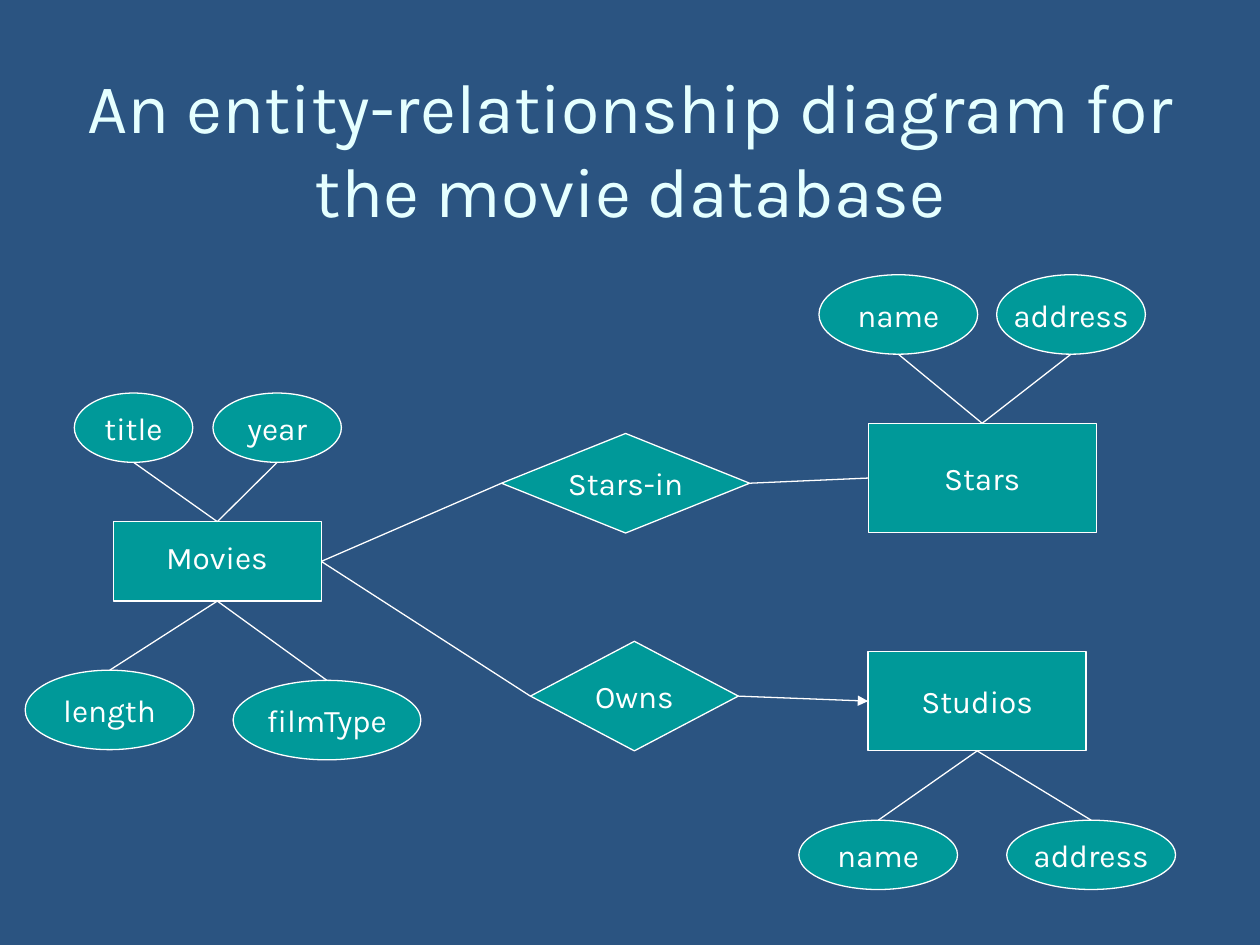
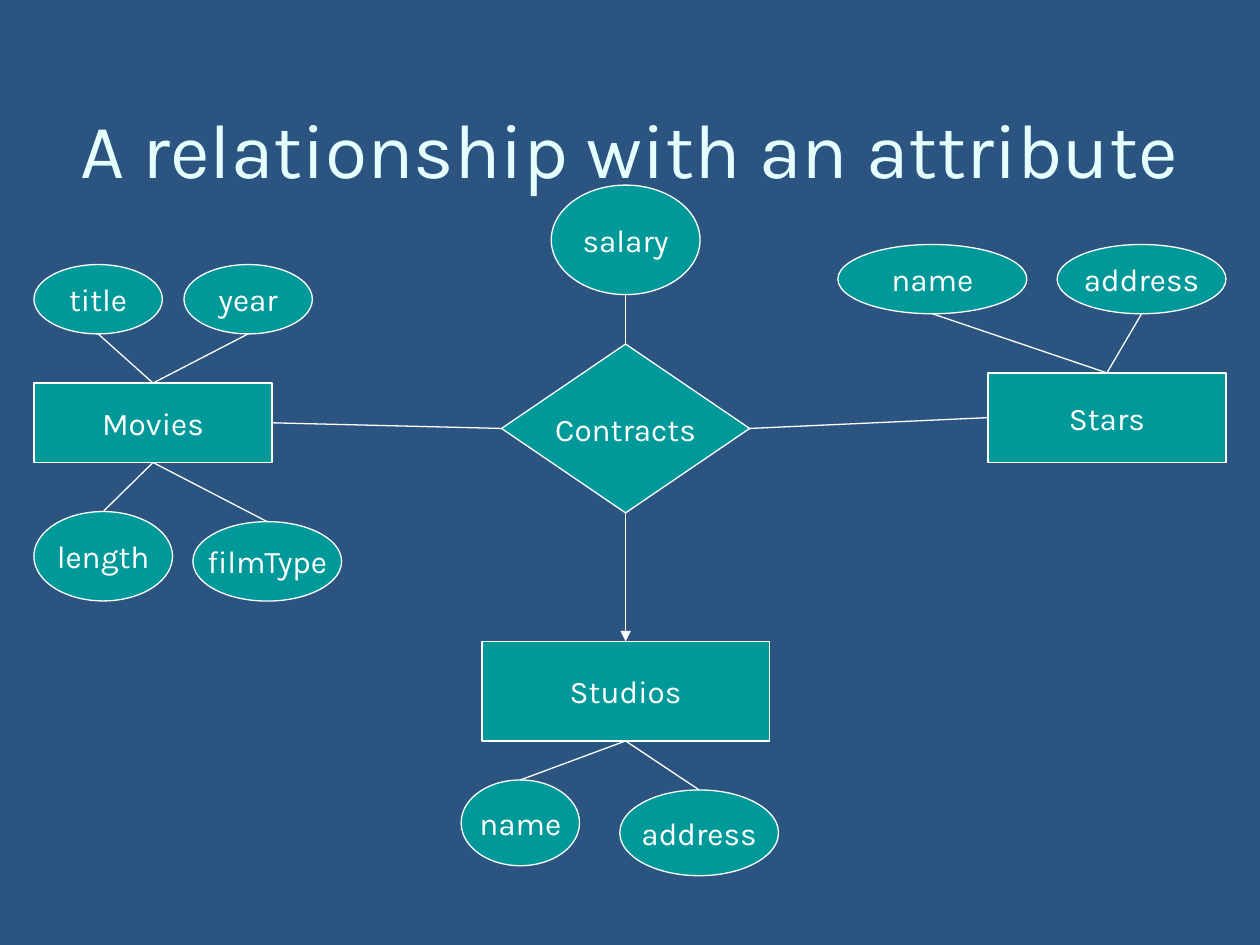
from dataclasses import dataclass

from lxml import etree
from pptx import Presentation
from pptx.dml.color import RGBColor
from pptx.enum import shapes, text
from pptx.oxml import ns
from pptx.util import Pt

FONT = "Karla"
BACKGROUND = "2B5481"
TITLE_COLOUR = "E5FFFF"
NODE_FILL = "009999"
WHITE = "FFFFFF"
LABEL_SIZE = 18
LINE_WIDTH = 0.75
TITLE_BOX = (36, 30.2, 648, 108)

ENTITY = shapes.MSO_SHAPE.RECTANGLE
ATTRIBUTE = shapes.MSO_SHAPE.OVAL
RELATIONSHIP = shapes.MSO_SHAPE.FLOWCHART_DECISION


@dataclass(frozen=True)
class Node:
    """A labelled outline; lengths in points."""
    kind: int
    label: str
    left: float
    top: float
    width: float
    height: float

    def side(self, name: str) -> tuple[float, float]:
        """Middle of one side."""
        across, down = {"top": (0.5, 0), "bottom": (0.5, 1),
                        "left": (0, 0.5), "right": (1, 0.5)}[name]
        return self.left + across * self.width, self.top + down * self.height


@dataclass(frozen=True)
class Cluster:
    """A node with the attributes attached above and below it."""
    owner: Node
    above: tuple[Node, ...] = ()
    below: tuple[Node, ...] = ()


@dataclass(frozen=True)
class Link:
    start: Node
    start_side: str
    end: Node
    end_side: str
    arrow: bool = False


def rgb(value: str) -> RGBColor:
    return RGBColor.from_string(value)


def write(frame, words: str, size: float, colour: str, align=text.PP_ALIGN.CENTER,
          anchor=text.MSO_ANCHOR.MIDDLE, wrap: bool = False) -> None:
    frame.word_wrap = wrap
    frame.vertical_anchor = anchor
    paragraph = frame.paragraphs[0]
    paragraph.text = words
    paragraph.alignment = align
    paragraph.font.name = FONT
    paragraph.font.size = Pt(size)
    paragraph.font.color.rgb = rgb(colour)


def add_text_box(slide, box: tuple[float, ...]):
    return slide.shapes.add_textbox(*map(Pt, box)).text_frame


def draw_node(slide, node: Node) -> None:
    outline = slide.shapes.add_shape(
        node.kind, *map(Pt, (node.left, node.top, node.width, node.height)))
    outline.shadow.inherit = False
    outline.fill.solid()
    outline.fill.fore_color.rgb = rgb(NODE_FILL)
    outline.line.color.rgb = rgb(WHITE)
    outline.line.width = Pt(LINE_WIDTH)
    if node.label:
        write(outline.text_frame, node.label, LABEL_SIZE, WHITE)


def draw_link(slide, link: Link) -> None:
    ends = link.start.side(link.start_side) + link.end.side(link.end_side)
    connector = slide.shapes.add_connector(shapes.MSO_CONNECTOR.STRAIGHT, *map(Pt, ends))
    connector.line.color.rgb = rgb(WHITE)
    connector.line.width = Pt(LINE_WIDTH)
    if link.arrow:
        etree.SubElement(connector.line._get_or_add_ln(), ns.qn("a:tailEnd"), type="triangle")
    etree.SubElement(connector._element.spPr, ns.qn("a:effectLst"))


def draw_diagram(deck, title: str, title_size: float,
                 clusters: list[Cluster], links: list[Link]):
    slide = deck.slides.add_slide(deck.slide_layouts[6])
    slide.background.fill.solid()
    slide.background.fill.fore_color.rgb = rgb(BACKGROUND)
    write(add_text_box(slide, TITLE_BOX), title, title_size, TITLE_COLOUR, wrap=True)

    attribute_links = []
    for cluster in clusters:
        for node in (cluster.owner, *cluster.above, *cluster.below):
            draw_node(slide, node)
        attribute_links += [Link(a, "bottom", cluster.owner, "top") for a in cluster.above]
        attribute_links += [Link(a, "top", cluster.owner, "bottom") for a in cluster.below]
    for link in attribute_links + links:
        draw_link(slide, link)
    return slide


def movie_database(deck) -> None:
    movies = Node(ENTITY, "", 64.8, 298.1, 118.8, 45.4)
    stars = Node(ENTITY, "Stars", 496.1, 241.9, 130.3, 62.6)
    studios = Node(ENTITY, "Studios", 496.1, 372.2, 124.6, 56.9)
    stars_in = Node(RELATIONSHIP, "Stars-in", 286.6, 247.7, 141.8, 56.9)
    owns = Node(RELATIONSHIP, "Owns", 303.1, 366.5, 118.8, 62.6)
    clusters = [
        Cluster(movies,
                above=(Node(ATTRIBUTE, "title", 42.5, 224.6, 67.7, 39.6),
                       Node(ATTRIBUTE, "year", 121.7, 224.6, 73.4, 39.6)),
                below=(Node(ATTRIBUTE, "length", 14.4, 383, 96.5, 45.4),
                       Node(ATTRIBUTE, "filmType", 133.2, 388.8, 107.3, 45.4))),
        Cluster(stars_in),
        Cluster(owns),
        Cluster(stars,
                above=(Node(ATTRIBUTE, "name", 468, 157, 90.7, 45.4),
                       Node(ATTRIBUTE, "address", 569.5, 157, 85, 45.4))),
        Cluster(studios,
                below=(Node(ATTRIBUTE, "name", 456.5, 468.7, 90.7, 39.6),
                       Node(ATTRIBUTE, "address", 575.3, 468.7, 96.5, 39.6))),
    ]
    links = [
        Link(movies, "right", stars_in, "left"),
        Link(stars_in, "right", stars, "left"),
        Link(movies, "right", owns, "left"),
        Link(owns, "right", studios, "left", arrow=True),
    ]
    slide = draw_diagram(deck, "An entity-relationship diagram for the movie database",
                         40, clusters, links)
    # The Movies label sits slightly above the middle of its box
    write(add_text_box(slide, (87.8, 303.8, 73.4, 28.8)), "Movies", LABEL_SIZE, WHITE,
          align=text.PP_ALIGN.LEFT, anchor=text.MSO_ANCHOR.TOP)


def contracts_relationship(deck) -> None:
    movies = Node(ENTITY, "Movies", 19.4, 218.9, 136.1, 45.4)
    stars = Node(ENTITY, "Stars", 564.5, 213.1, 136.1, 51.1)
    studios = Node(ENTITY, "Studios", 275.4, 366.5, 164.2, 56.9)
    contracts = Node(RELATIONSHIP, "Contracts", 286.6, 196.6, 141.8, 96.5)
    clusters = [
        Cluster(movies,
                above=(Node(ATTRIBUTE, "title", 19.4, 151.2, 73.4, 39.6),
                       Node(ATTRIBUTE, "year", 105.1, 151.2, 73.4, 39.6)),
                below=(Node(ATTRIBUTE, "length", 19.4, 292.3, 79.2, 51.1),
                       Node(ATTRIBUTE, "filmType", 110.2, 298.1, 85, 45.4))),
        Cluster(stars,
                above=(Node(ATTRIBUTE, "name", 478.8, 139.7, 108, 39.6),
                       Node(ATTRIBUTE, "address", 604.1, 139.7, 96.5, 39.6))),
        Cluster(studios,
                below=(Node(ATTRIBUTE, "name", 263.5, 445.7, 67.7, 49),
                       Node(ATTRIBUTE, "address", 354.2, 451.4, 90.7, 49))),
        Cluster(contracts,
                above=(Node(ATTRIBUTE, "salary", 315, 105.8, 85, 62.6),)),
    ]
    links = [
        Link(stars, "left", contracts, "right"),
        Link(movies, "right", contracts, "left"),
        Link(contracts, "bottom", studios, "top", arrow=True),
    ]
    draw_diagram(deck, "A relationship with an attribute", 44, clusters, links)


def main() -> None:
    deck = Presentation()
    deck.slide_width, deck.slide_height = Pt(720), Pt(540)
    movie_database(deck)
    contracts_relationship(deck)
    deck.save("out.pptx")


if __name__ == "__main__":
    main()
